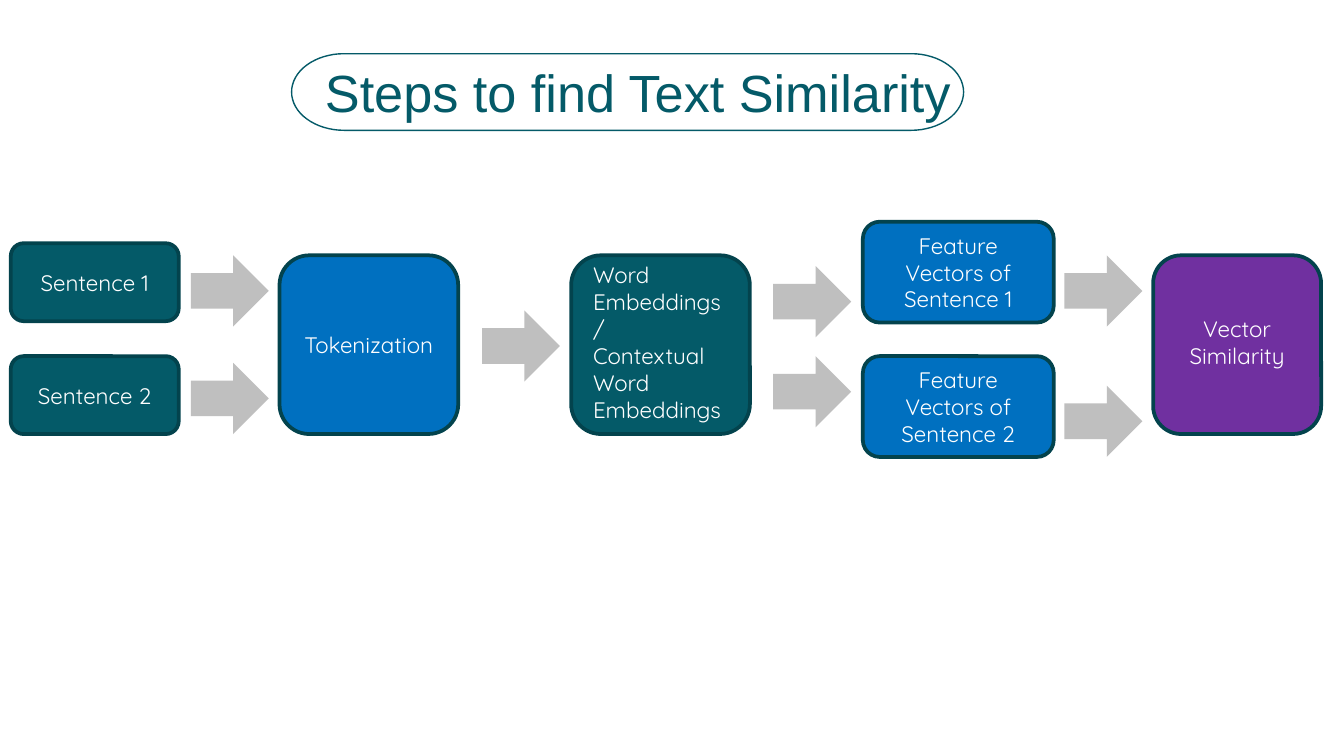
from math import cos, pi, sin

from pptx import Presentation
from pptx.dml.color import RGBColor
from pptx.enum.shapes import MSO_SHAPE as Shape
from pptx.enum.text import MSO_ANCHOR as Anchor, PP_ALIGN as Align
from pptx.util import Inches, Pt

COLORS = {
    "teal": "045A68", "edge": "03434D", "blue": "0070C0",
    "purple": "7030A0", "arrow": "BFBFBF", "white": "FFFFFF",
}

TITLE = "Steps to find Text Similarity"
TITLE_AREA = (2.32, 0.4, 8.43, 0.35)
TITLE_FRAME = (2.17, 0.4, 5, 0.57)
FRAME_END = 0.39  # horizontal radius of the rounded ends

# Paragraphs, fill, alignment, (left, top, width, height)
STEPS = [
    (["Sentence 1"], "teal", Align.CENTER, (0.08, 1.81, 1.25, 0.58)),
    (["Sentence 2"], "teal", Align.CENTER, (0.08, 2.65, 1.25, 0.58)),
    (["Tokenization"], "blue", Align.CENTER, (2.08, 1.9, 1.33, 1.33)),
    (["Word Embeddings", "/\vContextual Word Embeddings"], "teal", Align.LEFT,
     (4.25, 1.9, 1.33, 1.33)),
    (["Feature Vectors of Sentence 1"], "blue", Align.CENTER,
     (6.42, 1.65, 1.42, 0.75)),
    (["Feature Vectors of Sentence 2"], "blue", Align.CENTER,
     (6.42, 2.65, 1.42, 0.75)),
    (["Vector Similarity"], "purple", Align.CENTER, (8.58, 1.9, 1.25, 1.33)),
]
TEXT_LIFT = {"Word Embeddings": 0.04, "Vector Similarity": 0.04}

# Arrow columns are evenly spaced; each lists the tops of its arrows
ARROW_TOPS = [(1.9, 2.7), (2.31,), (1.98, 2.65), (1.9, 2.87)]
ARROW_LEFT, ARROW_LAST = 1.42, 7.92
ARROW_STEP = (ARROW_LAST - ARROW_LEFT) / (len(ARROW_TOPS) - 1)
ARROW_SIZE = (0.58, 0.53)


def color(name):
    return RGBColor.from_string(COLORS[name])


def write(box, paragraphs, size, ink, font="Quicksand", align=Align.LEFT,
          anchor=Anchor.MIDDLE, lift=0):
    frame = box.text_frame
    frame.word_wrap = True
    frame.vertical_anchor = anchor
    frame.margin_bottom = Inches(0.05 + lift)
    for index, text in enumerate(paragraphs):
        para = frame.add_paragraph() if index else frame.paragraphs[0]
        para.text = text
        para.alignment = align
        for span in para.runs:
            span.font.size = Pt(size)
            span.font.name = font
            span.font.color.rgb = color(ink)


def add_block(page, kind, area, fill):
    block = page.shapes.add_shape(kind, *map(Inches, area))
    block.shadow.inherit = False
    block.fill.solid()
    block.fill.fore_color.rgb = color(fill)
    block.line.fill.background()
    return block


def outline(shape, ink, width):
    shape.line.color.rgb = color(ink)
    shape.line.width = Pt(width)


def add_title_frame(page):
    left, top, width, height = TITLE_FRAME
    middle = top + height / 2
    points = []
    # Right half-ellipse, then left half-ellipse
    for center, start in ((left + width - FRAME_END, -pi / 2),
                          (left + FRAME_END, pi / 2)):
        for step in range(33):
            angle = start + pi * step / 32
            points.append((Inches(center + FRAME_END * cos(angle)),
                           Inches(middle + height / 2 * sin(angle))))
    builder = page.shapes.build_freeform(*points[0])
    builder.add_line_segments(points[1:], close=True)
    pill = builder.convert_to_shape()
    pill.shadow.inherit = False
    pill.fill.background()
    outline(pill, "teal", 0.75)


def main():
    deck = Presentation()
    deck.slide_width, deck.slide_height = Inches(10), Inches(5.625)
    page = deck.slides.add_slide(deck.slide_layouts[6])

    # Process steps before the result
    *stages, result = STEPS

    def add_step(paragraphs, fill, align, area):
        box = add_block(page, Shape.ROUNDED_RECTANGLE, area, fill)
        outline(box, "edge", 2)
        write(box, paragraphs, 12, "white", align=align,
              lift=TEXT_LIFT.get(paragraphs[0], 0))

    for stage in stages:
        add_step(*stage)

    # Title
    add_title_frame(page)
    title = page.shapes.add_textbox(*map(Inches, TITLE_AREA))
    write(title, [TITLE], 28, "teal", font="Arial", anchor=Anchor.TOP)

    # Arrows between the steps
    for column, tops in enumerate(ARROW_TOPS):
        for top in tops:
            area = (ARROW_LEFT + column * ARROW_STEP, top, *ARROW_SIZE)
            add_block(page, Shape.RIGHT_ARROW, area, "arrow")

    # Result
    add_step(*result)

    deck.save("out.pptx")


if __name__ == "__main__":
    main()
